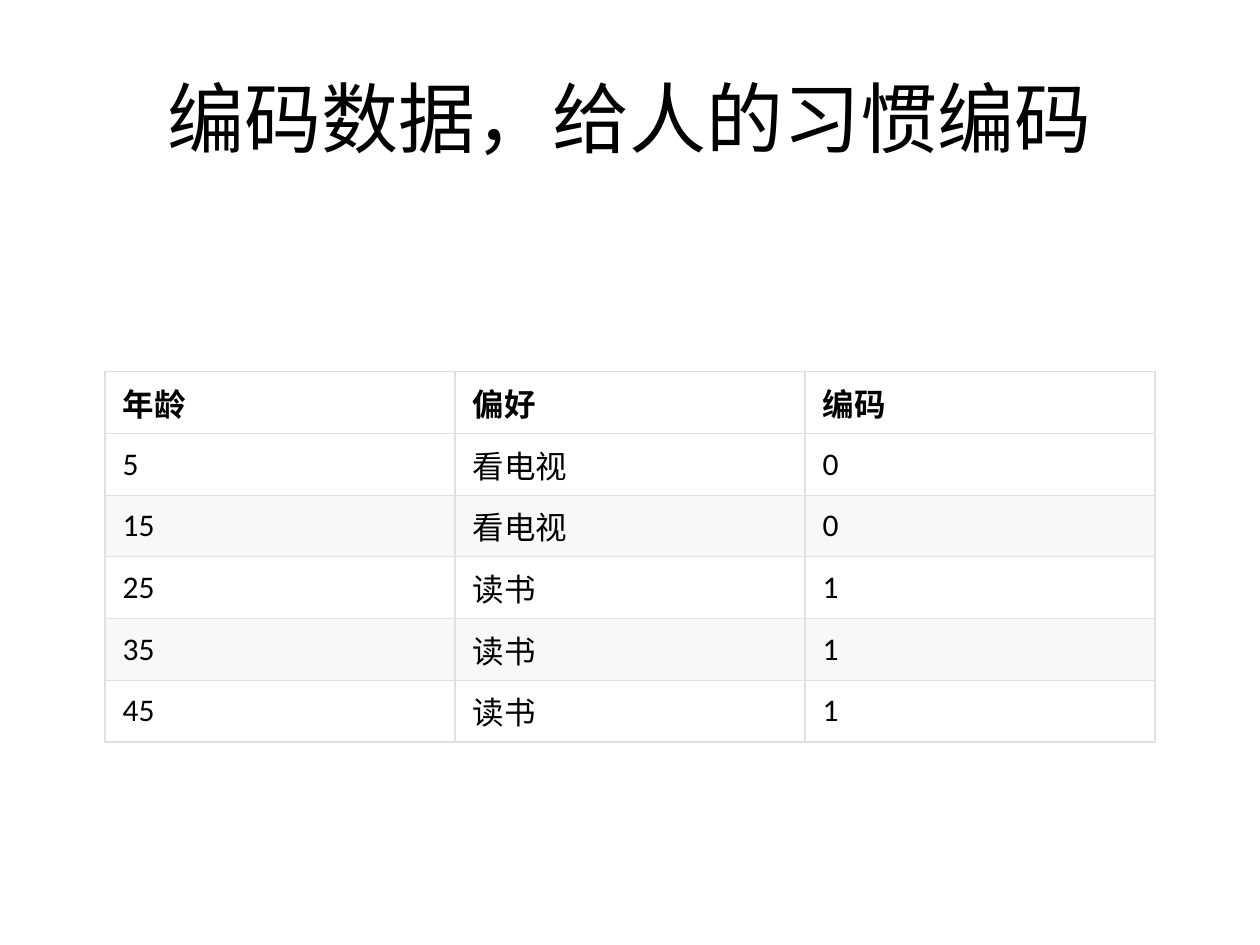
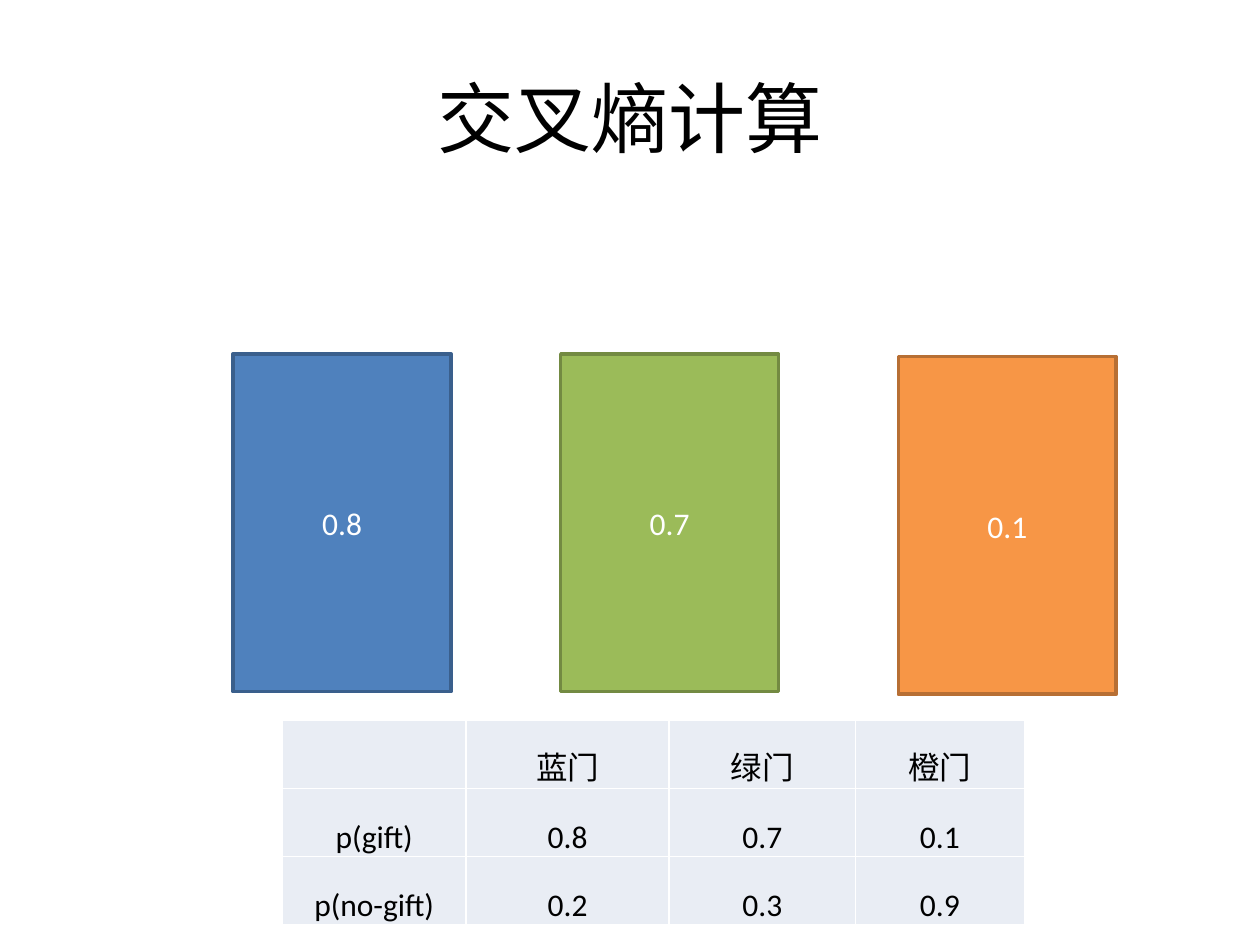
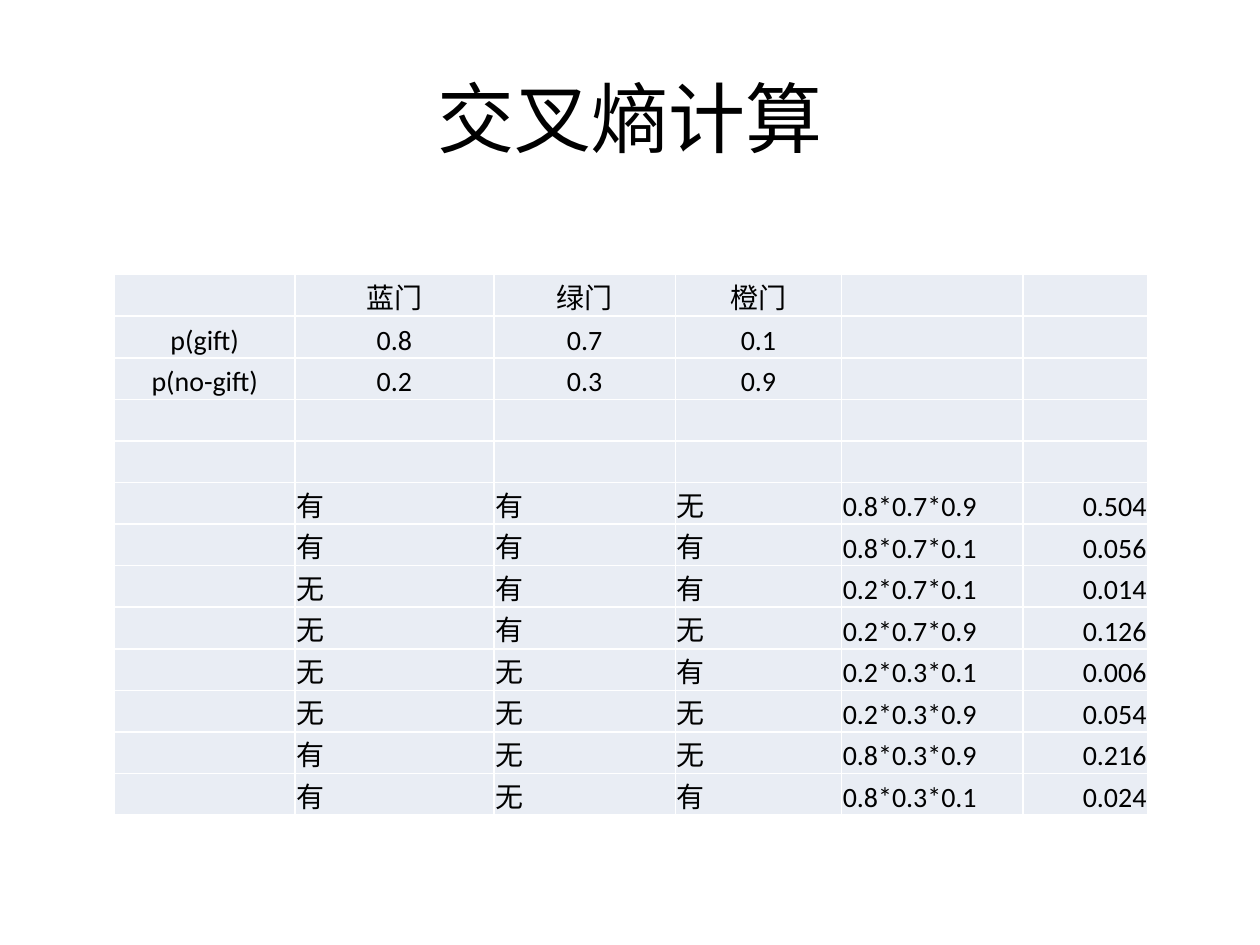
from dataclasses import dataclass
from math import prod

from lxml import etree
from pptx import Presentation
from pptx import util as u
from pptx.dml.color import RGBColor
from pptx.enum import shapes, text
from pptx.oxml.ns import qn


@dataclass(frozen=True)
class Theme:
    font: str = "Calibri"
    title_size: int = 44
    body_size: int = 18
    dense_size: int = 16
    ink: str = "000000"
    paper: str = "FFFFFF"
    stripe: str = "F8F8F8"
    rule: str = "DFE2E5"
    tint: str = "E9EDF4"


@dataclass(frozen=True)
class TableStyle:
    fills: tuple  # repeated row by row
    border: str
    border_width: float
    insets: tuple  # left, top, right, bottom
    anchor: text.MSO_ANCHOR
    size: int
    bold_header: bool = False


THEME = Theme()
SLIDE_W, SLIDE_H = 10, 7.5
LEFT, CENTER, RIGHT = text.PP_ALIGN.LEFT, text.PP_ALIGN.CENTER, text.PP_ALIGN.RIGHT
BOTTOM, MIDDLE = text.MSO_ANCHOR.BOTTOM, text.MSO_ANCHOR.MIDDLE

HABITS_TITLE = "编码数据，给人的习惯编码"
HABITS = [
    ("年龄", "偏好", "编码"),
    ("5", "看电视", "0"),
    ("15", "看电视", "0"),
    ("25", "读书", "1"),
    ("35", "读书", "1"),
    ("45", "读书", "1"),
]

ENTROPY_TITLE = "交叉熵计算"
# door, p(gift), p(no-gift), fill, outline, left, top
DOORS = [
    ("蓝门", "0.8", "0.2", "4F81BD", "3A5F8C", 1.85, 2.81),
    ("绿门", "0.7", "0.3", "9BBB59", "738A42", 4.45, 2.81),
    ("橙门", "0.1", "0.9", "F79646", "B76F34", 7.13, 2.83),
]
DOOR_W, DOOR_H = 1.73, 2.68
NAMES, GIFT, NO_GIFT = list(zip(*DOORS))[:3]
CHANCES = [("", *NAMES), ("p(gift)", *GIFT), ("p(no-gift)", *NO_GIFT)]
OUTCOMES = ["有有无", "有有有", "无有有", "无有无", "无无有", "无无无", "有无无", "有无有"]

GRID_STYLE = TableStyle((THEME.paper, THEME.paper, THEME.stripe, THEME.paper, THEME.stripe, THEME.paper),
                        THEME.rule, 0.75, (0.14, 0.06, 0.14, 0.06), MIDDLE, THEME.body_size, True)
SHEET_INSETS = (0.01, 0.01, 0.01, 0)
SHEET_STYLE = TableStyle((THEME.tint,), THEME.paper, 1, SHEET_INSETS, BOTTOM, THEME.body_size)
DENSE_STYLE = TableStyle((THEME.tint,), THEME.paper, 1, SHEET_INSETS, BOTTOM, THEME.dense_size)


def rgb(color):
    return RGBColor.from_string(color)


def write(frame, words, size, color=THEME.ink, align=CENTER, bold=False):
    paragraph = frame.paragraphs[0]
    paragraph.alignment = align
    run = paragraph.add_run()
    run.text = words
    run.font.name = THEME.font
    run.font.size = u.Pt(size)
    run.font.bold = bold
    run.font.color.rgb = rgb(color)


def add_titled_slide(deck, words):
    slide = deck.slides.add_slide(deck.slide_layouts[6])
    slide.background.fill.solid()
    slide.background.fill.fore_color.rgb = rgb(THEME.paper)
    margin = SLIDE_W * 0.05
    title = slide.shapes.add_textbox(
        *map(u.Inches, (margin, SLIDE_H * 0.04, SLIDE_W - 2 * margin, SLIDE_H / 6)))
    title.text_frame.word_wrap = True
    title.text_frame.vertical_anchor = MIDDLE
    write(title.text_frame, words, THEME.title_size)
    return slide


def set_borders(cell, color, width):
    properties = cell._tc.get_or_add_tcPr()
    for index, side in enumerate(("lnL", "lnR", "lnT", "lnB")):
        line = etree.Element(qn(f"a:{side}"), w=str(u.Pt(width)))
        fill = etree.SubElement(line, qn("a:solidFill"))
        etree.SubElement(fill, qn("a:srgbClr"), val=color)
        properties.insert(index, line)


def style_cell(cell, style, fill):
    cell.fill.solid()
    cell.fill.fore_color.rgb = rgb(fill)
    cell.vertical_anchor = style.anchor
    (cell.margin_left, cell.margin_top,
     cell.margin_right, cell.margin_bottom) = map(u.Inches, style.insets)
    set_borders(cell, style.border, style.border_width)


def add_grid(slide, rows, left, top, widths, row_height, style, align_of):
    """Draw rows as a table; align_of(row, column) gives each cell's alignment."""
    table = slide.shapes.add_table(
        len(rows), len(widths),
        *map(u.Inches, (left, top, sum(widths), row_height * len(rows)))).table
    table.first_row = table.horz_banding = False
    for column, width in zip(table.columns, widths):
        column.width = u.Inches(width)
    for r, row in enumerate(rows):
        table.rows[r].height = u.Inches(row_height)
        for c, words in enumerate(row):
            cell = table.cell(r, c)
            style_cell(cell, style, style.fills[r % len(style.fills)])
            if words:
                write(cell.text_frame, words, style.size, align=align_of(r, c),
                      bold=style.bold_header and r == 0)


def add_doors(slide):
    for _, chance, _, fill, outline, left, top in DOORS:
        door = slide.shapes.add_shape(
            shapes.MSO_SHAPE.RECTANGLE, *map(u.Inches, (left, top, DOOR_W, DOOR_H)))
        door.shadow.inherit = False
        door.fill.solid()
        door.fill.fore_color.rgb = rgb(fill)
        door.line.color.rgb = rgb(outline)
        door.line.width = u.Pt(2)
        door.text_frame.vertical_anchor = MIDDLE
        write(door.text_frame, chance, THEME.body_size, THEME.paper)


def outcome_row(outcome):
    """Multiply each door's chance of the given state: 有 is a gift, 无 is none."""
    factors = [gift if state == "有" else no_gift
               for state, gift, no_gift in zip(outcome, GIFT, NO_GIFT)]
    return ("", *outcome, "*".join(factors), f"{prod(map(float, factors)):.3f}")


def outcome_align(row, column):
    if row < len(CHANCES):
        return CENTER
    return RIGHT if column == 5 else LEFT


def main():
    deck = Presentation()
    deck.slide_width, deck.slide_height = u.Inches(SLIDE_W), u.Inches(SLIDE_H)

    habits = add_titled_slide(deck, HABITS_TITLE)
    add_grid(habits, HABITS, SLIDE_W / 12, 2.95, [SLIDE_W * 5 / 18] * 3, 0.49,
             GRID_STYLE, lambda row, column: LEFT)

    doors = add_titled_slide(deck, ENTROPY_TITLE)
    add_grid(doors, CHANCES, 2.24, 5.72, [1.46, 1.61, 1.48, 1.34], 0.54,
             SHEET_STYLE, lambda row, column: CENTER)
    add_doors(doors)

    outcomes = add_titled_slide(deck, ENTROPY_TITLE)
    gap_rows = [("",) * 6] * 2
    rows = [(*row, "", "") for row in CHANCES] + gap_rows + [outcome_row(o) for o in OUTCOMES]
    add_grid(outcomes, rows, 0.91, 2.18, [1.43, 1.58, 1.44, 1.32, 1.44, 0.99], 0.33,
             DENSE_STYLE, outcome_align)

    deck.save("out.pptx")


if __name__ == "__main__":
    main()
